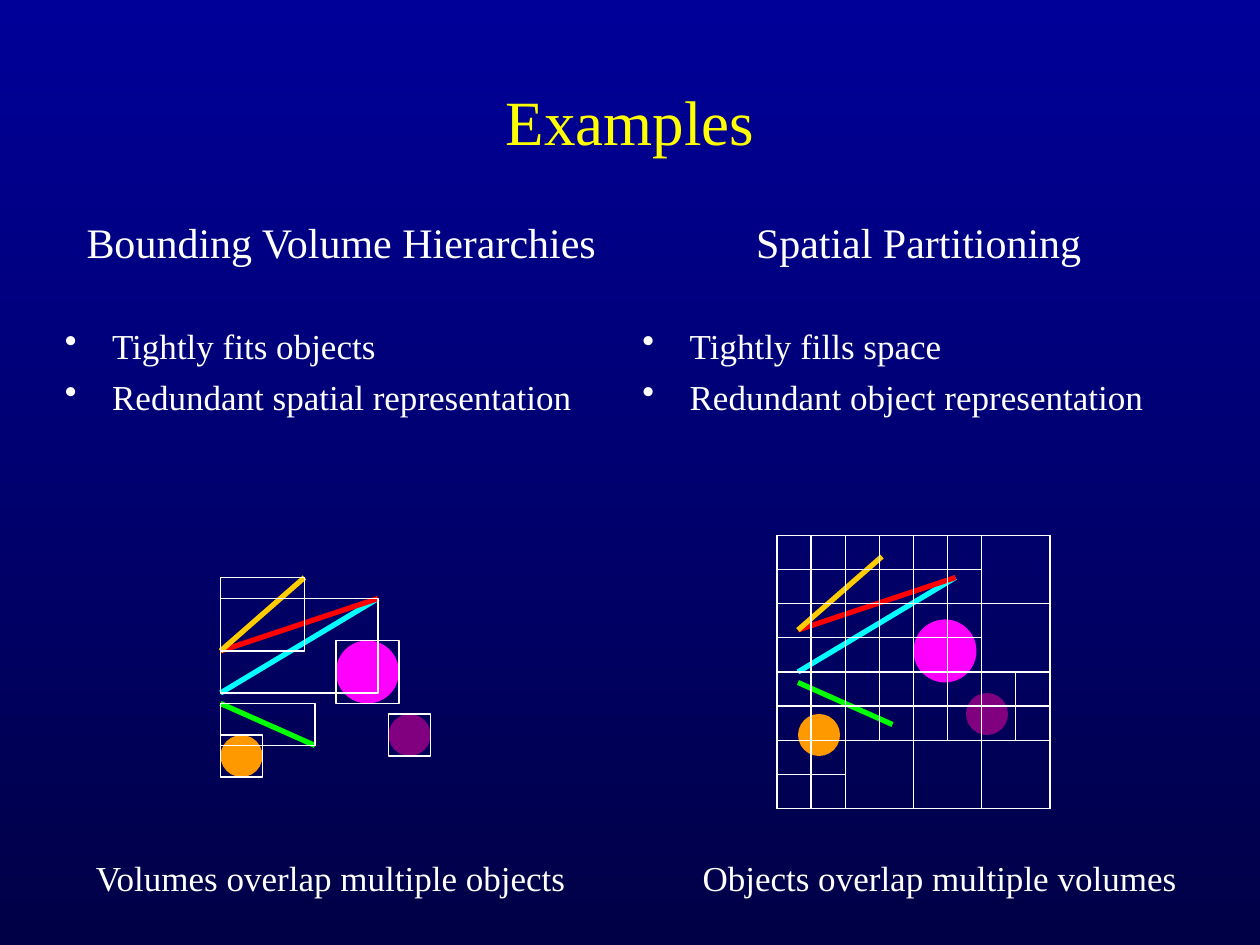
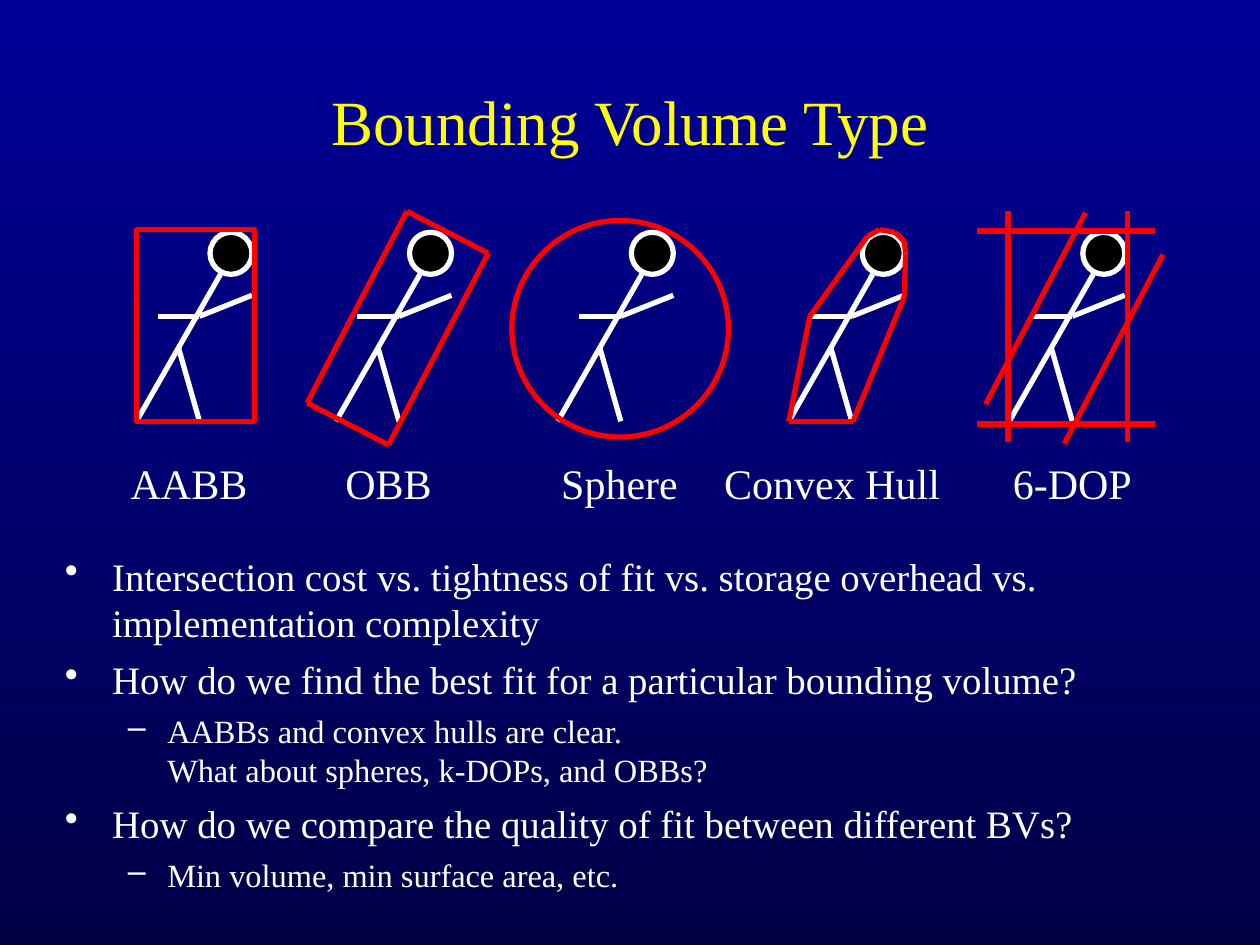
from lxml import etree
from pptx import Presentation
from pptx.dml.color import RGBColor
from pptx.enum.shapes import MSO_CONNECTOR, MSO_SHAPE
from pptx.enum.text import MSO_ANCHOR, MSO_AUTO_SIZE, PP_ALIGN
from pptx.oxml.ns import qn
from pptx.util import Pt

STRAIGHT = MSO_CONNECTOR.STRAIGHT
RECTANGLE, OVAL = MSO_SHAPE.RECTANGLE, MSO_SHAPE.OVAL
CENTER, MIDDLE = PP_ALIGN.CENTER, MSO_ANCHOR.MIDDLE
NO_AUTOFIT = MSO_AUTO_SIZE.NONE

EMU_PER_PX = 9525
SLIDE_W, SLIDE_H = 960, 720
FONT = "Times New Roman"
WHITE, YELLOW, RED, BLACK = "FFFFFF", "FFFF00", "FF0000", "000000"
NAVY_TOP, NAVY_BOTTOM = "000099", "000047"
THIN, THICK = 0.75, 3

SCENE = [
    ("segment", "00FFFF", (120, 16), (0, 88)),
    ("ball", "FF00FF", (88, 48), (136, 96)),
    ("segment", "00FF00", (72, 128), (0, 96)),
    ("segment", RED, (120, 16), (0, 56)),
    ("segment", "FFCC00", (0, 56), (64, 0)),
    ("ball", "FF9900", (0, 120), (32, 152)),
    ("ball", "800080", (128, 104), (160, 136)),
]
SPLIT_CELLS_PER_ROW = (3, 3, 4, 1)

FIGURE_TOP, LABEL_TOP = 177, 344
LIMBS = [
    ((64, 32), (32, 88)),
    ((32, 88), (0, 144)),
    ((32, 88), (48, 144)),
    ((48, 64), (88, 48)),
    ((48, 64), (16, 64)),
]
OBB_CORNERS = [(-22, 130), (54, -16), (116, 16), (40, 162)]
HULL_CORNERS = [(0, 144), (16, 64), (60, 3), (69, -2), (81, 0),
                (88, 7), (89, 16), (88, 49), (49, 144)]
DOP_SLABS = [
    ((-25, -1), (111, -1)),
    ((-25, 146), (111, 146)),
    ((-1, -16), (-1, 160)),
    ((90, -16), (90, 160)),
    ((-18, 131), (58, -15)),
    ((42, 161), (117, 17)),
]


def px(length):
    return int(length * EMU_PER_PX)


def rgb(hex_code):
    return RGBColor.from_string(hex_code)


def add_line(slide, origin, start, end, color, width):
    x, y = origin
    line = slide.shapes.add_connector(
        STRAIGHT, px(x + start[0]), px(y + start[1]), px(x + end[0]), px(y + end[1]))
    line.line.color.rgb = rgb(color)
    line.line.width = Pt(width)
    etree.SubElement(line._element.spPr, qn("a:effectLst"))


def add_outline(slide, origin, corners, color):
    for start, end in zip(corners, corners[1:] + corners[:1]):
        add_line(slide, origin, start, end, color, THICK)


def add_form(slide, preset, box, fill=None, line=None, width=THIN):
    form = slide.shapes.add_shape(preset, *map(px, box))
    form.shadow.inherit = False
    if fill:
        form.fill.solid()
        form.fill.fore_color.rgb = rgb(fill)
    else:
        form.fill.background()
    if line:
        form.line.color.rgb = rgb(line)
        form.line.width = Pt(width)
    else:
        form.line.fill.background()


def style(paragraph, size, color=WHITE, before=0, align=None):
    paragraph.font.name = FONT
    paragraph.font.size = Pt(size)
    paragraph.font.color.rgb = rgb(color)
    paragraph.space_before = Pt(before)
    paragraph.alignment = align


def set_bullet(paragraph, mark, indent, hang):
    props = paragraph._p.get_or_add_pPr()
    props.set("marL", str(px(indent)))
    props.set("indent", str(-px(hang)))
    etree.SubElement(props, qn("a:buChar")).set("char", mark)


def add_text_frame(slide, box):
    frame = slide.shapes.add_textbox(*map(px, box)).text_frame
    frame.word_wrap = True
    return frame


def add_label(slide, box, text, size, before):
    paragraph = add_text_frame(slide, box).paragraphs[0]
    paragraph.text = text
    style(paragraph, size, before=before, align=CENTER)


def add_titled_slide(prs, text):
    slide = prs.slides.add_slide(prs.slide_layouts[5])
    title = slide.shapes.title
    title.left, title.top, title.width, title.height = map(px, (40, 32, 880, 120))
    title.text_frame.text = text
    title.text_frame.vertical_anchor = MIDDLE
    title.text_frame.auto_size = NO_AUTOFIT
    style(title.text_frame.paragraphs[0], 36, YELLOW, align=CENTER)
    return slide


def add_comparison_column(slide, box, heading, points):
    frame = add_text_frame(slide, box)
    frame.paragraphs[0].text = heading
    style(frame.paragraphs[0], 24, before=6, align=CENTER)
    for index, point in enumerate(points):
        paragraph = frame.add_paragraph()
        paragraph.text = point
        style(paragraph, 20, before=5 if index else 33)
        set_bullet(paragraph, "•", 36, 36)


def add_scene(slide, origin):
    x, y = origin
    for kind, color, start, end in SCENE:
        if kind == "segment":
            add_line(slide, origin, start, end, color, THICK)
        else:
            add_form(slide, OVAL, (x + start[0], y + start[1],
                                   end[0] - start[0], end[1] - start[1]), color)


def add_scene_bounds(slide, origin):
    x, y = origin
    for _, color, start, end in SCENE:
        if color == RED:
            continue
        left, right = sorted((start[0], end[0]))
        top, bottom = sorted((start[1], end[1]))
        add_form(slide, RECTANGLE, (x + left, y + top, right - left, bottom - top),
                 line=WHITE)


def add_cross(slide, left, top, size):
    half = size // 2
    add_line(slide, (left, top), (half, 0), (half, size), WHITE, THIN)
    add_line(slide, (left, top), (0, half), (size, half), WHITE, THIN)


def add_quadtree(slide, left, top, size):
    add_form(slide, RECTANGLE, (left, top, size, size), line=WHITE)
    half, cell = size // 2, size // 4
    for x in (left, left + half):
        for y in (top, top + half):
            add_form(slide, RECTANGLE, (x, y, half, half), line=WHITE)
            add_cross(slide, x, y, half)
    for row, split_count in enumerate(SPLIT_CELLS_PER_ROW):
        for col in range(split_count):
            add_cross(slide, left + col * cell, top + row * cell, cell)


def add_stick_figure(slide, origin):
    x, y = origin
    add_form(slide, OVAL, (x + 56, y, 32, 32), BLACK, WHITE, THICK)
    for start, end in LIMBS:
        add_line(slide, origin, start, end, WHITE, THICK)


def add_aabb(slide, origin):
    x, y = origin
    add_form(slide, RECTANGLE, (x, y - 2, 90, 146), line=RED, width=THICK)


def add_obb(slide, origin):
    add_outline(slide, origin, OBB_CORNERS, RED)


def add_sphere(slide, origin):
    x, y = origin
    add_form(slide, OVAL, (x - 35, y - 9, 165, 165), line=RED, width=THICK)


def add_hull(slide, origin):
    add_outline(slide, origin, HULL_CORNERS, RED)


def add_dop(slide, origin):
    for start, end in DOP_SLABS:
        add_line(slide, origin, start, end, RED, THICK)


def add_questions(slide, box, questions):
    frame = add_text_frame(slide, box)
    for index, (level, text) in enumerate(questions):
        paragraph = frame.add_paragraph() if index else frame.paragraphs[0]
        paragraph.text = text
        paragraph.level = level
        if level:
            style(paragraph, 18.5, before=5)
            set_bullet(paragraph, "–", 78, 30)
        else:
            style(paragraph, 22.2, before=6)
            set_bullet(paragraph, "•", 36, 36)


def build_examples(prs):
    slide = add_titled_slide(prs, "Examples")
    add_comparison_column(slide, (40, 160, 440, 176), "Bounding Volume Hierarchies",
                          ["Tightly fits objects", "Redundant spatial representation"])
    add_comparison_column(slide, (480, 160, 440, 176), "Spatial Partitioning",
                          ["Tightly fills space", "Redundant object representation"])
    hierarchy_origin = (168, 440)
    add_scene(slide, hierarchy_origin)
    add_scene_bounds(slide, hierarchy_origin)
    add_scene(slide, (608, 424))
    add_quadtree(slide, 592, 408, 208)
    add_label(slide, (56, 648, 392, 42), "Volumes overlap multiple objects", 20, 12.5)
    add_label(slide, (520, 648, 392, 42), "Objects overlap multiple volumes", 20, 12.5)


def build_volume_types(prs):
    slide = add_titled_slide(prs, "Bounding Volume Type")
    volume_types = [
        ("AABB", 104, 88, 112, add_aabb),
        ("OBB", 256, 240, 112, add_obb),
        ("Sphere", 425, 416, 112, add_sphere),
        ("Convex Hull", 601, 538, 192, add_hull),
        ("6-DOP", 769, 761, 112, add_dop),
    ]
    for name, figure_left, label_left, label_width, add_volume in volume_types:
        origin = (figure_left, FIGURE_TOP)
        add_stick_figure(slide, origin)
        add_volume(slide, origin)
        add_label(slide, (label_left, LABEL_TOP, label_width, 48), name, 24, 15)
    add_questions(slide, (40, 416, 880, 280), [
        (0, "Intersection cost vs. tightness of fit vs. storage overhead vs. "
            "implementation complexity"),
        (0, "How do we find the best fit for a particular bounding volume?"),
        (1, "AABBs and convex hulls are clear.\nWhat about spheres, k-DOPs, and OBBs?"),
        (0, "How do we compare the quality of fit between different BVs?"),
        (1, "Min volume, min surface area, etc."),
    ])


def main():
    prs = Presentation()
    prs.slide_width, prs.slide_height = px(SLIDE_W), px(SLIDE_H)
    backdrop = prs.slide_master.background.fill
    backdrop.gradient()
    backdrop.gradient_angle = 270
    for stop, color in zip(backdrop.gradient_stops, (NAVY_TOP, NAVY_BOTTOM)):
        stop.color.rgb = rgb(color)
    build_examples(prs)
    build_volume_types(prs)
    prs.save("out.pptx")


if __name__ == "__main__":
    main()
